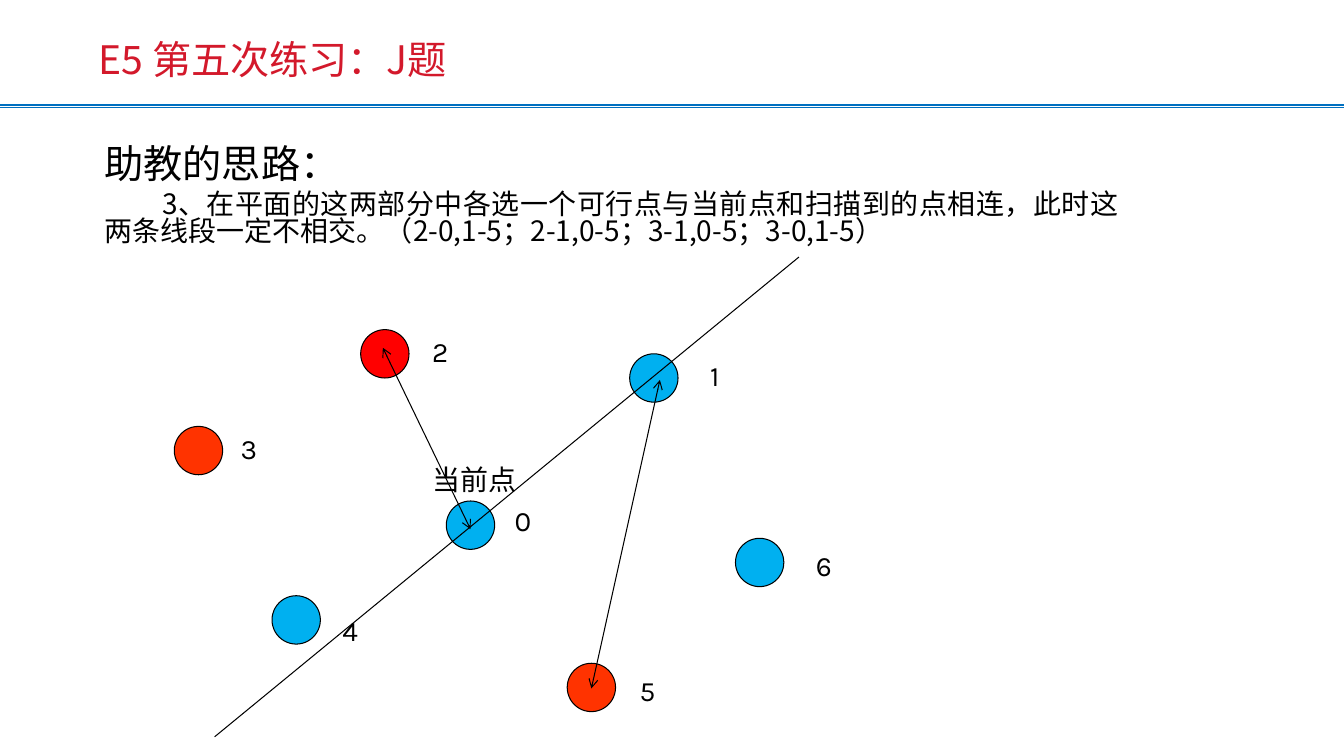
from lxml import etree
from pptx import Presentation
from pptx.dml.color import RGBColor
from pptx.enum import shapes, text
from pptx.oxml.ns import qn
from pptx.util import Inches, Pt

CJK = "Noto Sans CJK SC"
BLACK, BLUE, CYAN, ORANGE, RED = "000000", "0070C0", "00B0F0", "FF3300", "FF0000"
DOT = 0.48

# label, circle left/top, circle colour, label offset from the circle
POINTS = [
    ("3", 1.73, 4.23, ORANGE, 0.56, 0),
    ("0", 4.43, 4.97, CYAN, 0.58, -0.02),
    ("2", 3.58, 3.27, RED, 0.61, 0),
    ("5", 5.63, 6.58, ORANGE, 0.62, 0.05),
    ("4", 2.7, 5.91, CYAN, 0.6, 0.13),
    ("6", 7.3, 5.34, CYAN, 0.7, 0.05),
    ("1", 6.25, 3.51, CYAN, 0.7, 0),
]


def rgb(value):
    return RGBColor.from_string(value)


def add_text(slide, box, lines, color=BLACK, font=CJK, spacing=None):
    """Place lines of (text, size) in a box and return its paragraphs."""
    frame = slide.shapes.add_textbox(*map(Inches, box)).text_frame
    frame.word_wrap = True
    frame.text = "\n".join(line for line, _ in lines)
    for paragraph, (_, size) in zip(frame.paragraphs, lines):
        paragraph.line_spacing = spacing
        for run in paragraph.runs:
            run.font.size = Pt(size)
            run.font.name = font
            run.font.color.rgb = rgb(color)
            east_asian = etree.SubElement(run.font._element, qn("a:ea"))
            east_asian.set("typeface", CJK)
    return frame.paragraphs


def add_line(slide, start, end, color=BLACK, width=0.75, arrows=False):
    line = slide.shapes.add_connector(
        shapes.MSO_CONNECTOR.STRAIGHT, *map(Inches, start + end))
    line.line.color.rgb = rgb(color)
    line.line.width = Pt(width)
    if arrows:
        for tag in ("a:headEnd", "a:tailEnd"):
            etree.SubElement(line.line._get_or_add_ln(), qn(tag)).set("type", "arrow")
    etree.SubElement(line._element.spPr, qn("a:effectLst"))


def add_point(slide, left, top, color, label, dx, dy):
    circle = slide.shapes.add_shape(
        shapes.MSO_SHAPE.OVAL, *map(Inches, (left, top, DOT, DOT)))
    circle.shadow.inherit = False
    circle.fill.solid()
    circle.fill.fore_color.rgb = rgb(color)
    circle.line.color.rgb = rgb(BLACK)
    circle.line.width = Pt(0.75)
    add_text(slide, (left + dx, top + dy, 0.41, 0.44), [(label, 20)], font="Karla")


def add_header(slide, left, top, width, height):
    add_text(slide, (left, top, width, height),
             [("E5 第五次练习：J题", 28)], color="D3192B", spacing=0.9)
    # Double rule under the title
    for offset, weight in ((0.72, 0.75), (0.69, 1.5)):
        add_line(slide, (0, top + offset), (13.34, top + offset), BLUE, weight)


def add_idea(slide, left, top, width, height):
    heading, step = add_text(slide, (left, top, width, height), [
        ("助教的思路：", 28),
        ("3、在平面的这两部分中各选一个可行点与当前点和扫描到的点相连，此时这"
         "两条线段一定不相交。（2-0,1-5；2-1,0-5；3-1,0-5；3-0,1-5）", 20),
    ], spacing=0.8)
    for paragraph in (heading, step):
        paragraph.alignment = text.PP_ALIGN.JUSTIFY
    step.space_before = Pt(5)
    step._p.get_or_add_pPr().set("indent", str(Inches(0.57)))


def add_diagram(slide, left, top):
    """Draw the plane; point positions are measured from its corner."""
    def at(x, y):
        return left + x, top + y

    for label, x, y, color, dx, dy in POINTS:
        add_point(slide, *at(x, y), color, label, dx, dy)
    add_text(slide, at(4.19, 4.54) + (1.32, 0.44), [("当前点", 20)], font="Karla")
    # Dividing line, then the two joined pairs
    add_line(slide, at(7.93, 2.55), at(2.13, 7.31))
    add_line(slide, at(3.8, 3.45), at(4.67, 5.25), arrows=True)
    add_line(slide, at(6.55, 3.77), at(5.87, 6.83), arrows=True)


def main():
    deck = Presentation()
    deck.slide_width, deck.slide_height = Inches(13.34), Inches(7.5)
    slide = deck.slides.add_slide(deck.slide_layouts[6])
    add_header(slide, 0.88, 0.35, 10.5, 0.63)
    add_idea(slide, 0.94, 1.42, 10.26, 4.16)
    add_diagram(slide, 0, 0)
    deck.save("out.pptx")


if __name__ == "__main__":
    main()
